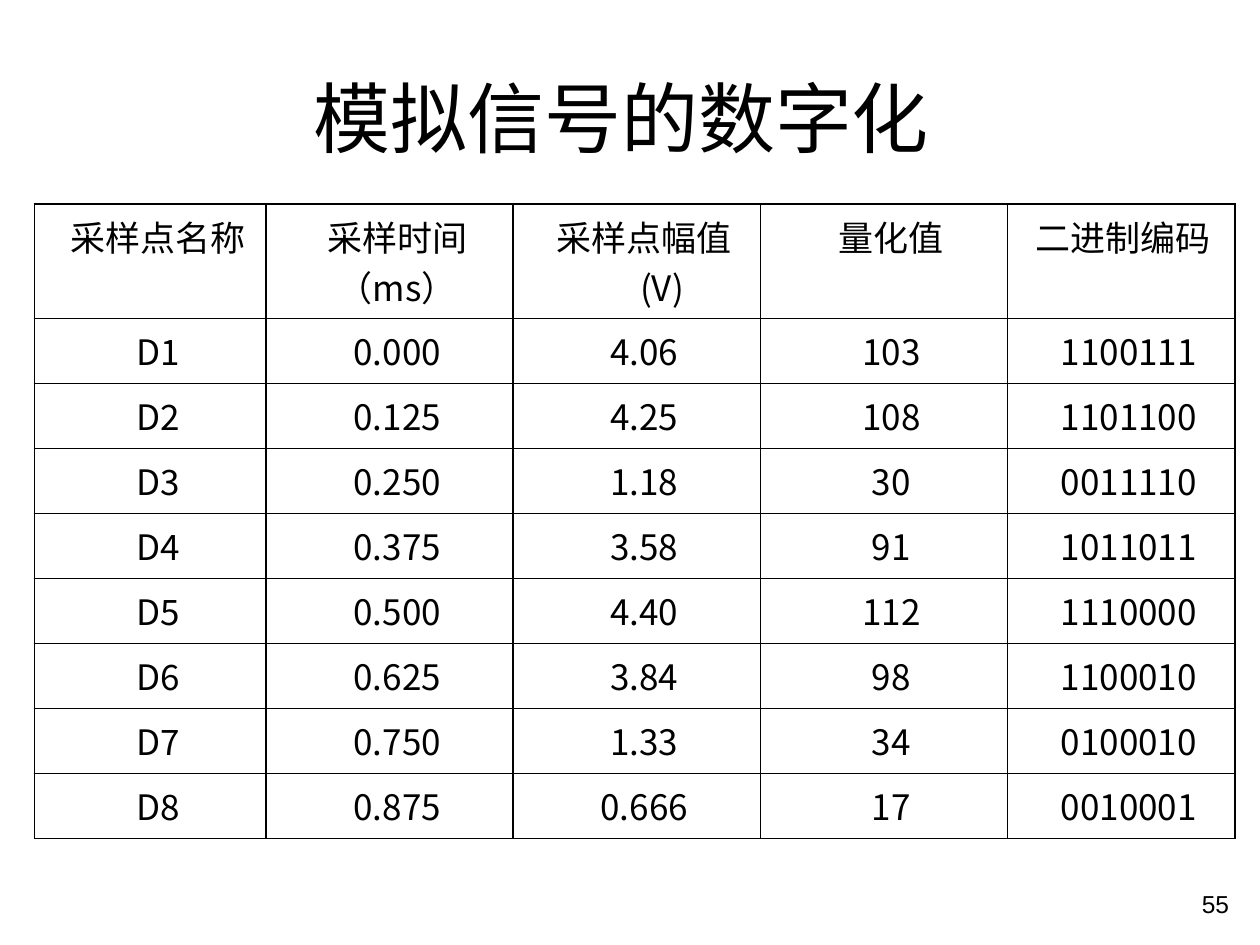
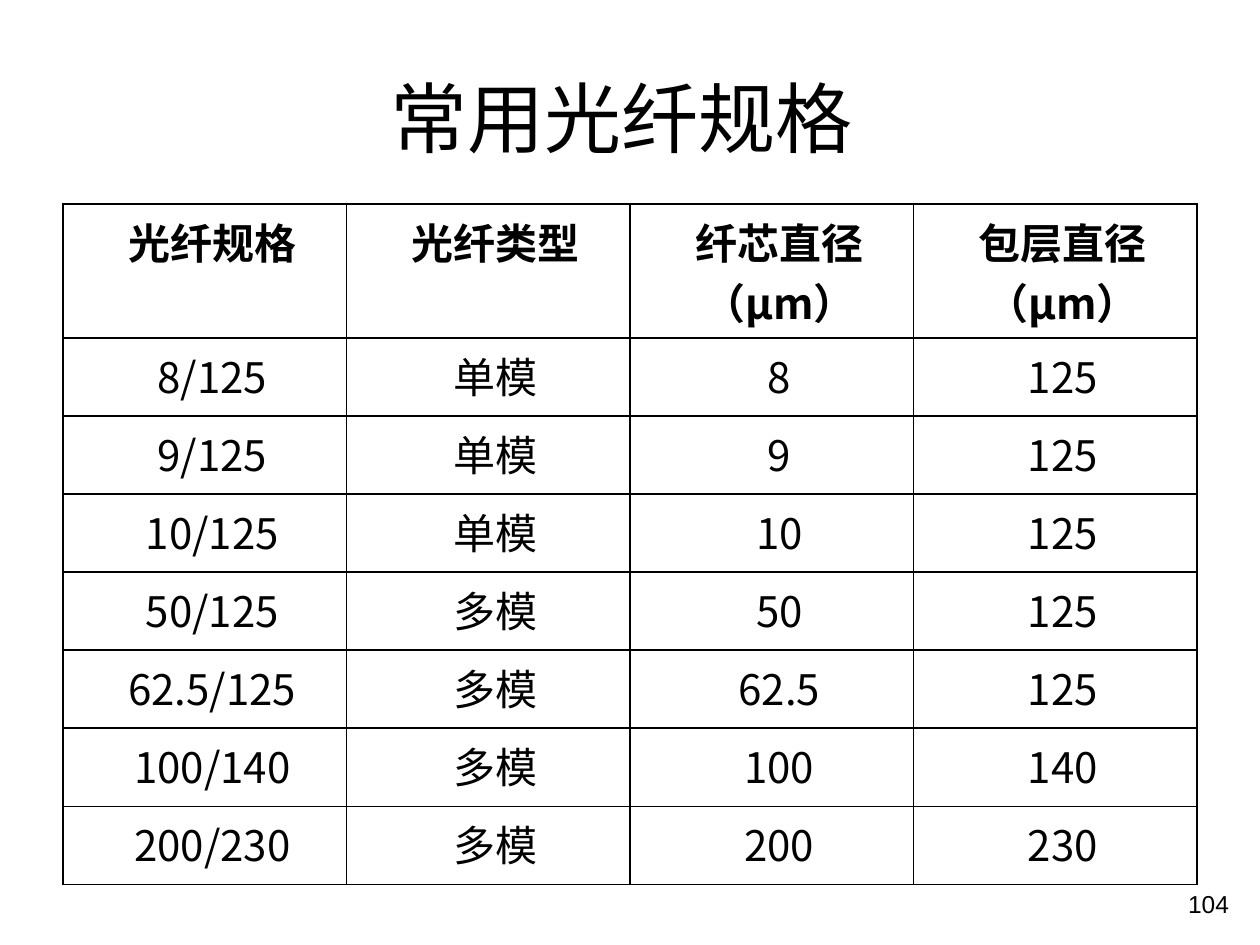
from pptx import Presentation
from pptx.dml.color import RGBColor
from pptx.enum.text import MSO_ANCHOR, PP_ALIGN
from pptx.oxml import parse_xml
from pptx.oxml.ns import nsdecls, qn
from pptx.util import Pt

CJK = "Noto Sans CJK SC"
INK = "000000"


def write(tf, text, size, font="Arial", color=INK, bold=False, align=PP_ALIGN.CENTER, left=0, hang=0):
    tf.word_wrap = True
    for i, line in enumerate(text.split("\n")):
        p = tf.add_paragraph() if i else tf.paragraphs[0]
        p.alignment = align
        pPr = p._p.get_or_add_pPr()
        pPr.set("marL", str(Pt(left)))
        pPr.set("indent", str(Pt(-hang)))
        r = p.add_run()
        r.text = line
        r.font.size = Pt(size)
        r.font.name = font
        r.font.bold = bold
        r.font.color.rgb = RGBColor.from_string(color)
        ea = r._r.get_or_add_rPr().makeelement(qn("a:ea"), {"typeface": CJK})
        r.font._element.find(qn("a:latin")).addnext(ea)


samples = [
    ["采样点名称", "采样时间\n（ms）", "采样点幅值(V)", "量化值", "二进制编码"],
    ["D1", "0.000", "4.06", "103", "1100111"],
    ["D2", "0.125", "4.25", "108", "1101100"],
    ["D3", "0.250", "1.18", "30", "0011110"],
    ["D4", "0.375", "3.58", "91", "1011011"],
    ["D5", "0.500", "4.40", "112", "1110000"],
    ["D6", "0.625", "3.84", "98", "1100010"],
    ["D7", "0.750", "1.33", "34", "0100010"],
    ["D8", "0.875", "0.666", "17", "0010001"],
]
fibres = [
    ["光纤规格", "光纤类型", "纤芯直径\n（μm）", "包层直径\n（μm）"],
    ["8/125", "单模", "8", "125"],
    ["9/125", "单模", "9", "125"],
    ["10/125", "单模", "10", "125"],
    ["50/125", "多模", "50", "125"],
    ["62.5/125", "多模", "62.5", "125"],
    ["100/140", "多模", "100", "140"],
    ["200/230", "多模", "200", "230"],
]
pages = [
    dict(title="模拟信号的数字化 ", number="55", rows=samples, left=19.7, size=20,
         widths=[132.4, 141.2, 141.2, 141.2, 130.1], head=65.4, row=37.15,
         bold_head=False, left_heads=["二进制编码"]),
    dict(title="常用光纤规格 ", number="104", rows=fibres, left=36, size=24,
         widths=[162] * 4, head=76.6, row=44.6, bold_head=True, left_heads=[]),
]

prs = Presentation()
prs.slide_width, prs.slide_height = Pt(720), Pt(540)

for page in pages:
    s = prs.slides.add_slide(prs.slide_layouts[6])

    tf = s.shapes.add_textbox(Pt(36), Pt(21.6), Pt(648), Pt(90)).text_frame
    tf.vertical_anchor = MSO_ANCHOR.MIDDLE
    write(tf, page["title"], 44)

    rows, widths = page["rows"], page["widths"]
    heights = [page["head"]] + [page["row"]] * (len(rows) - 1)
    table = s.shapes.add_table(len(rows), len(widths), Pt(page["left"]), Pt(116.6),
                               Pt(sum(widths)), Pt(sum(heights))).table
    table.first_row = table.horz_banding = False
    for col, width in zip(table.columns, widths):
        col.width = Pt(width)
    for i, values in enumerate(rows):
        table.rows[i].height = Pt(heights[i])
        for j, value in enumerate(values):
            cell = table.cell(i, j)
            align = PP_ALIGN.LEFT if value in page["left_heads"] else PP_ALIGN.CENTER
            write(cell.text_frame, value, page["size"], font=CJK, align=align,
                  bold=page["bold_head"] and i == 0, left=28.8, hang=20.16)
            tcPr = cell._tc.get_or_add_tcPr()
            for side in "LRTB":
                tcPr.append(parse_xml(
                    f'<a:ln{side} {nsdecls("a")} w="{Pt(1)}"><a:solidFill>'
                    f'<a:srgbClr val="{INK}"/></a:solidFill></a:ln{side}>'))
            cell.fill.background()

    tf = s.shapes.add_textbox(Pt(660.4), Pt(504.7), Pt(49), Pt(28.8)).text_frame
    write(tf, page["number"], 14, align=PP_ALIGN.RIGHT)

prs.save("out.pptx")
